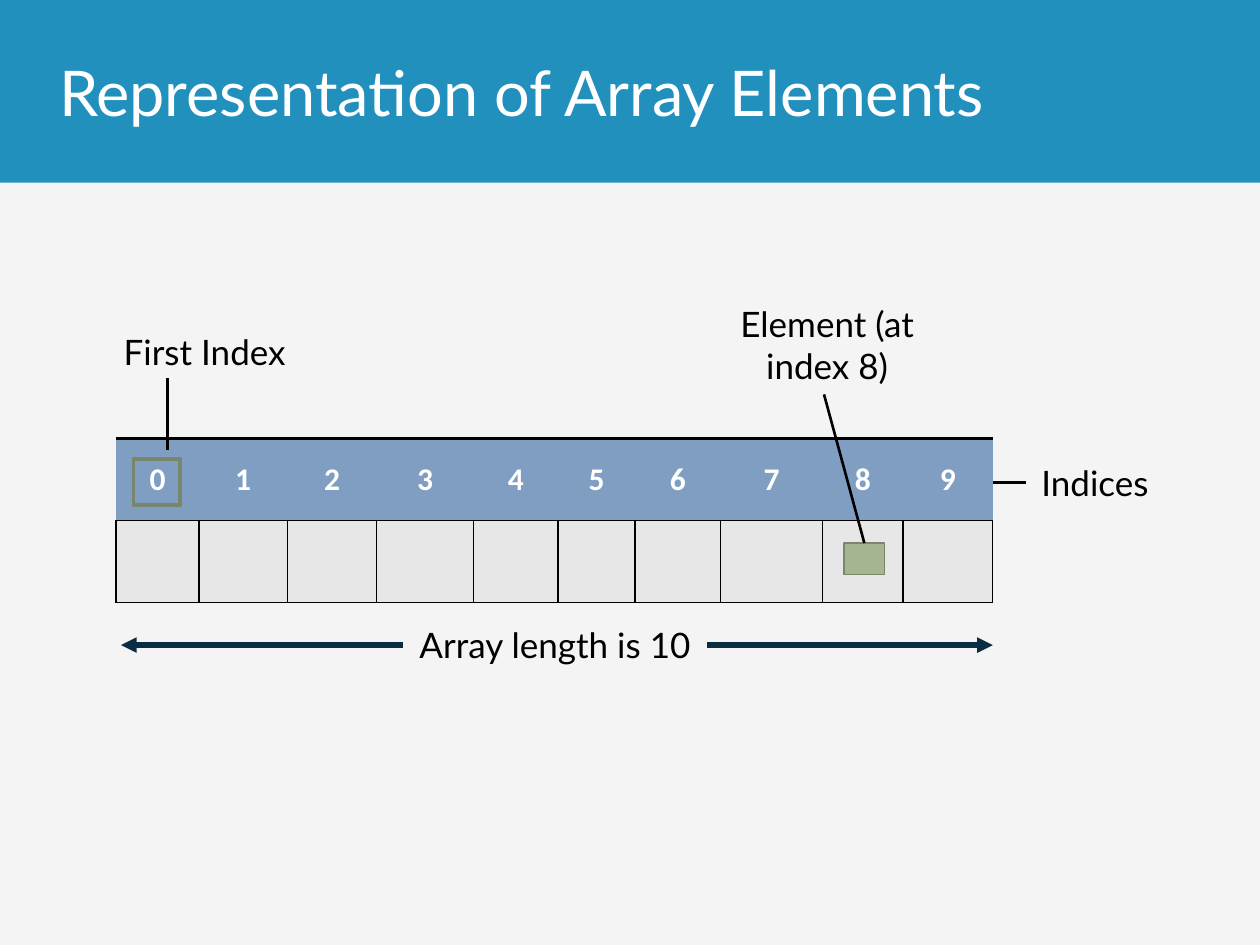
from lxml import etree
from pptx import Presentation
from pptx.dml.color import RGBColor
from pptx.enum.shapes import MSO_CONNECTOR, MSO_SHAPE
from pptx.enum.text import MSO_ANCHOR, PP_ALIGN
from pptx.oxml.ns import qn
from pptx.util import Inches, Pt

RECTANGLE = MSO_SHAPE.RECTANGLE
STRAIGHT = MSO_CONNECTOR.STRAIGHT
CENTER, LEFT = PP_ALIGN.CENTER, PP_ALIGN.LEFT
MIDDLE, TOP = MSO_ANCHOR.MIDDLE, MSO_ANCHOR.TOP
TOP_SIDE, LEFT_SIDE = 0, 1

BACKGROUND = RGBColor(0xF4, 0xF4, 0xF5)
BANNER_BLUE = RGBColor(0x21, 0x90, 0xBC)
INDEX_BLUE = RGBColor(0x80, 0x9E, 0xC2)
CELL_GRAY = RGBColor(0xE7, 0xE7, 0xE7)
ELEMENT_GREEN = RGBColor(0xA5, 0xB5, 0x92)
OUTLINE_GREEN = RGBColor(0x7A, 0x86, 0x6C)
ARROW_NAVY = RGBColor(0x09, 0x2E, 0x43)
BLACK = RGBColor(0, 0, 0)
WHITE = RGBColor(0xFF, 0xFF, 0xFF)

COLUMN_WIDTHS = (0.66, 0.7, 0.71, 0.77, 0.67, 0.61, 0.68, 0.81, 0.64, 0.71)
ROW_HEIGHT = 0.65


def write_text(frame, text, size=20, font="Lato", color=BLACK, bold=False,
               align=CENTER, anchor=TOP):
    frame.word_wrap = True
    frame.vertical_anchor = anchor
    paragraph = frame.paragraphs[0]
    paragraph.alignment = align
    run = paragraph.add_run()
    run.text = text
    run.font.size = Pt(size)
    run.font.name = font
    run.font.bold = bold
    run.font.color.rgb = color


def add_label(slide, text, box, **text_format):
    label = slide.shapes.add_textbox(*map(Inches, box))
    write_text(label.text_frame, text, **text_format)
    return label


def add_rectangle(slide, box, fill=None, line=None, width=1):
    shape = slide.shapes.add_shape(RECTANGLE, *map(Inches, box))
    shape.shadow.inherit = False
    if fill is None:
        shape.fill.background()
    else:
        shape.fill.solid()
        shape.fill.fore_color.rgb = fill
    if line is None:
        shape.line.fill.background()
    else:
        shape.line.color.rgb = line
        shape.line.width = Pt(width)
    return shape


def add_line(slide, start, end, color=BLACK, width=1.5, arrowheads=False):
    connector = slide.shapes.add_connector(STRAIGHT, *map(Inches, start + end))
    connector.line.color.rgb = color
    connector.line.width = Pt(width)
    properties = connector.line._get_or_add_ln()
    if arrowheads:
        for tag in ("a:headEnd", "a:tailEnd"):
            etree.SubElement(properties, qn(tag), type="triangle")
    etree.SubElement(connector._element.spPr, qn("a:effectLst"))
    return connector


def set_borders(cell, left=0, right=0, top=0, bottom=0):
    """Draw black borders with widths in points; zero hides a side."""
    properties = cell._tc.get_or_add_tcPr()
    sides = (("a:lnL", left), ("a:lnR", right), ("a:lnT", top), ("a:lnB", bottom))
    for position, (tag, width) in enumerate(sides):
        border = etree.Element(qn(tag), w=str(Pt(width)))
        if width:
            fill = etree.SubElement(border, qn("a:solidFill"))
            etree.SubElement(fill, qn("a:srgbClr"), val=str(BLACK))
        else:
            etree.SubElement(border, qn("a:noFill"))
        properties.insert(position, border)


def add_banner(slide, box):
    left, top, width, height = box
    add_rectangle(slide, box, fill=BANNER_BLUE)
    add_label(slide, "Representation of Array Elements",
              (left + 0.37, top, 8.62, height),
              size=36, color=WHITE, align=LEFT, anchor=MIDDLE)


def add_array_table(slide, left, top):
    frame = slide.shapes.add_table(
        2, len(COLUMN_WIDTHS), Inches(left), Inches(top),
        Inches(sum(COLUMN_WIDTHS)), Inches(2 * ROW_HEIGHT))
    table = frame.table
    table.horz_banding = False
    for row in table.rows:
        row.height = Inches(ROW_HEIGHT)
    for index, width in enumerate(COLUMN_WIDTHS):
        table.columns[index].width = Inches(width)
        header, element = table.cell(0, index), table.cell(1, index)
        for cell, color in ((header, INDEX_BLUE), (element, CELL_GRAY)):
            cell.fill.solid()
            cell.fill.fore_color.rgb = color
        write_text(header.text_frame, str(index), size=18, font="Calibri",
                   color=WHITE, bold=True)
        header.vertical_anchor = MIDDLE
        set_borders(header, top=2, bottom=1)
        set_borders(element, left=1, right=1, top=1, bottom=1)


def add_array_diagram(slide, left, top):
    """Place the array table and its annotations from the table's corner."""
    right = left + sum(COLUMN_WIDTHS)
    add_array_table(slide, left, top)

    element = add_rectangle(slide, (left + 5.78, top + 0.83, 0.32, 0.25),
                            fill=ELEMENT_GREEN, line=OUTLINE_GREEN)
    add_rectangle(slide, (left + 0.14, top + 0.16, 0.37, 0.37),
                  line=OUTLINE_GREEN, width=2.25)

    add_label(slide, "First Index", (left - 0.18, top - 0.91, 1.77, 0.44))
    add_label(slide, "Element (at index 8)", (left + 4.76, top - 1.13, 1.77, 0.77))
    indices = add_label(slide, "Indices", (right + 0.26, top + 0.13, 1.1, 0.44))

    length_y = top + 1.64
    add_line(slide, (left + 0.04, length_y), (right, length_y),
             color=ARROW_NAVY, width=3, arrowheads=True)
    length = add_rectangle(slide, (left + 2.28, length_y - 0.22, 2.41, 0.44),
                           fill=BACKGROUND)
    write_text(length.text_frame, "Array length is 10")

    add_line(slide, (left + 0.41, top - 0.48), (left + 0.41, top + 0.09))
    element_line = add_line(slide, (left + 5.62, top - 0.35),
                            (left + 5.94, top + 0.83))
    element_line.end_connect(element, TOP_SIDE)
    indices_line = add_line(slide, (right + 0.26, top + 0.35), (right, top + 0.35))
    indices_line.begin_connect(indices, LEFT_SIDE)


def main():
    presentation = Presentation()
    presentation.slide_width = Inches(10)
    presentation.slide_height = Inches(7.5)
    slide = presentation.slides.add_slide(presentation.slide_layouts[6])
    slide.background.fill.solid()
    slide.background.fill.fore_color.rgb = BACKGROUND
    add_banner(slide, (0, 0, 10, 1.45))
    add_array_diagram(slide, 0.92, 3.48)
    presentation.save("out.pptx")


if __name__ == "__main__":
    main()
